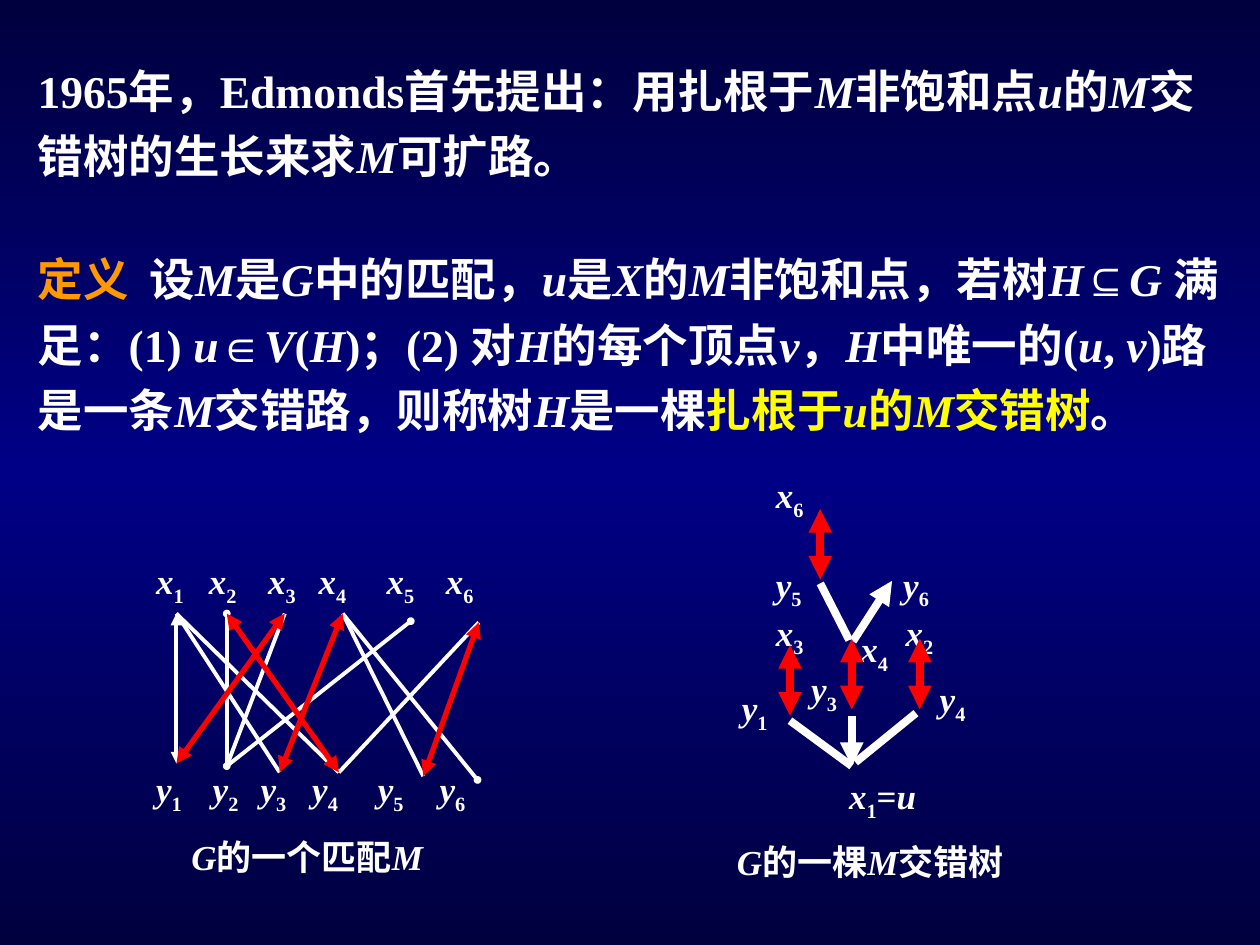
from copy import deepcopy

from pptx import Presentation
from pptx.dml.color import RGBColor
from pptx.enum.shapes import MSO_CONNECTOR
from pptx.enum.text import MSO_ANCHOR
from pptx.oxml.ns import qn
from pptx.util import Inches, Pt
from lxml.etree import SubElement

COLORS = {
    "edge": "00003E",
    "middle": "000086",
    "white": "FFFFFF",
    "red": "FF0000",
    "orange": "FF9900",
    "yellow": "FFFF00",
}
FONT = "Times New Roman"


def rgb(name):
    return RGBColor.from_string(COLORS[name])


def set_background(s):
    fill = s.background.fill
    fill.gradient()
    fill.gradient_angle = 90
    stops = s._element.xpath(".//a:gsLst")[0]
    stops.append(deepcopy(stops[0]))
    for stop, color, pos in zip(fill.gradient_stops, ("edge", "middle", "edge"), (0, 0.5, 1)):
        stop.color.rgb = rgb(color)
        stop.position = pos


def add_run(p, text, size, color="white", italic=False, font=FONT, sub=False):
    r = p.add_run()
    r.text = text
    r.font.name = font
    r.font.size = Pt(size)
    r.font.bold = True
    r.font.italic = italic
    r.font.color.rgb = rgb(color)
    if sub:
        r.font._element.set("baseline", "-25000")


def add_marked(p, text, size, color="white"):
    for i, part in enumerate(text.split("*")):
        if part:
            add_run(p, part, size, color, italic=i % 2 == 1)


def add_box(s, x, y, w, h):
    tf = s.shapes.add_textbox(Inches(x), Inches(y), Inches(w), Inches(h)).text_frame
    tf.word_wrap = True
    return tf


def add_label(s, x, y, name, suffix="", w=0.47):
    p = add_box(s, x, y, w, 0.48).paragraphs[0]
    add_run(p, name[0], 20, italic=True)
    add_run(p, name[1], 20, sub=True)
    add_marked(p, suffix, 20)


def add_caption(s, x, y, text):
    add_marked(add_box(s, x, y, 2.6, 0.45).paragraphs[0], text, 20)


def add_line(s, start, end, color, width, head=None, tail=None):
    c = s.shapes.add_connector(MSO_CONNECTOR.STRAIGHT, *(Inches(v) for v in (*start, *end)))
    c.line.color.rgb = rgb(color)
    c.line.width = Pt(width)
    ln = c.line._get_or_add_ln()
    for tag, kind in (("a:headEnd", head), ("a:tailEnd", tail)):
        if kind:
            mark = SubElement(ln, qn(tag))
            mark.set("type", kind)
            size = "sm" if kind == "oval" else "med"
            mark.set("w", size)
            mark.set("len", size)
    SubElement(c._element.spPr, qn("a:effectLst"))


def add_intro(s, x, y, w, h):
    tf = add_box(s, x, y, w, h)
    tf.vertical_anchor = MSO_ANCHOR.MIDDLE
    p = tf.paragraphs[0]
    p.line_spacing = 1.2
    add_marked(p, "1965年，Edmonds首先提出：用扎根于*M*非饱和点*u*的*M*交错树的生长来求*M*可扩路。", 26)


def add_definition(s, x, y, w, h):
    p = add_box(s, x, y, w, h).paragraphs[0]
    p.line_spacing = 1.2
    add_run(p, "定义  ", 26, "orange")
    add_marked(p, "设*M*是*G*中的匹配，*u*是*X*的*M*非饱和点，若树*H*", 26)
    add_run(p, "⊆", 26, font="Arial")
    add_marked(
        p,
        "*G *满足：(1) *u*∈*V*(*H*)；(2) 对*H*的每个顶点*v*，*H*中唯一的"
        "(*u*, *v*)路是一条*M*交错路，则称树*H*是一棵",
        26,
    )
    add_marked(p, "扎根于*u*的*M*交错树", 26, "yellow")
    add_run(p, "。", 26)


def add_matching(s, x, y):
    nodes = {
        "x1": (0.26, 0.48), "x2": (0.66, 0.48), "x3": (1.12, 0.48),
        "x4": (1.58, 0.48), "x5": (2.12, 0.54), "x6": (2.66, 0.55),
        "y1": (0.26, 1.67), "y2": (0.66, 1.69), "y3": (1.08, 1.74),
        "y4": (1.55, 1.74), "y5": (2.22, 1.77), "y6": (2.65, 1.8),
    }
    nodes = {name: (x + dx, y + dy) for name, (dx, dy) in nodes.items()}
    edges = [
        ("x1", "y1", "triangle", "triangle"), ("x2", "y2", "oval", "oval"),
        ("x5", "y2", "oval", None), ("x1", "y3", None, None),
        ("x1", "y4", None, None), ("x6", "y4", None, None),
        ("x4", "y5", None, None), ("x4", "y6", None, "oval"),
        ("x3", "y2", None, None),
    ]
    for a, b, head, tail in edges:
        add_line(s, nodes[a], nodes[b], "white", 2.25, head, tail)
    for a, b in (("x6", "y5"), ("x4", "y3"), ("x2", "y4"), ("x3", "y1")):
        add_line(s, nodes[a], nodes[b], "red", 3, "triangle", "triangle")

    rows = {
        "x": (0, (0, 0.42, 0.89, 1.29, 1.83, 2.3)),
        "y": (1.65, (0, 0.45, 0.83, 1.24, 1.76, 2.25)),
    }
    for letter, (dy, offsets) in rows.items():
        for i, dx in enumerate(offsets, 1):
            add_label(s, x + dx, y + dy, f"{letter}{i}")
    add_caption(s, x + 0.28, y + 2.19, "*G*的一个匹配*M*")


def add_tree(s, x, y):
    branches = [
        ((0.72, 2.01), (1.21, 2.37), None, None),
        ((0.96, 0.92), (1.19, 1.37), None, None),
        ((1.21, 1.97), (1.21, 2.37), None, "triangle"),
        ((1.53, 0.9), (1.22, 1.38), "triangle", None),
        ((1.72, 1.95), (1.24, 2.34), None, None),
    ]
    for (x1, y1), (x2, y2), head, tail in branches:
        add_line(s, (x + x1, y + y1), (x + x2, y + y2), "white", 4.5, head, tail)

    labels = {
        "x6": (0.51, 0), "y5": (0.51, 0.71), "y6": (1.52, 0.71),
        "x3": (0.51, 1.09), "x2": (1.54, 1.09), "x4": (1.18, 1.22),
        "y4": (1.81, 1.62), "y1": (0.24, 1.69), "y3": (0.79, 1.54),
    }
    for name, (dx, dy) in labels.items():
        add_label(s, x + dx, y + dy, name)
    add_label(s, x + 1.09, y + 2.39, "x1", "=*u*", w=1)

    for dx, dy in ((0.96, 0.33), (0.72, 1.41), (1.21, 1.36), (1.75, 1.36)):
        add_line(s, (x + dx, y + dy), (x + dx, y + dy + 0.56), "red", 4.5, "triangle", "triangle")
    add_caption(s, x + 0.2, y + 2.91, "*G*的一棵*M*交错树")


def main():
    prs = Presentation()
    prs.slide_width, prs.slide_height = Inches(10), Inches(7.5)
    s = prs.slides.add_slide(prs.slide_layouts[6])
    set_background(s)
    add_definition(s, 0.2, 1.86, 9.61, 2.18)
    add_intro(s, 0.2, 0.36, 9.55, 1.14)
    add_tree(s, 5.55, 3.71)
    add_matching(s, 1.14, 4.39)
    prs.save("out.pptx")


if __name__ == "__main__":
    main()
